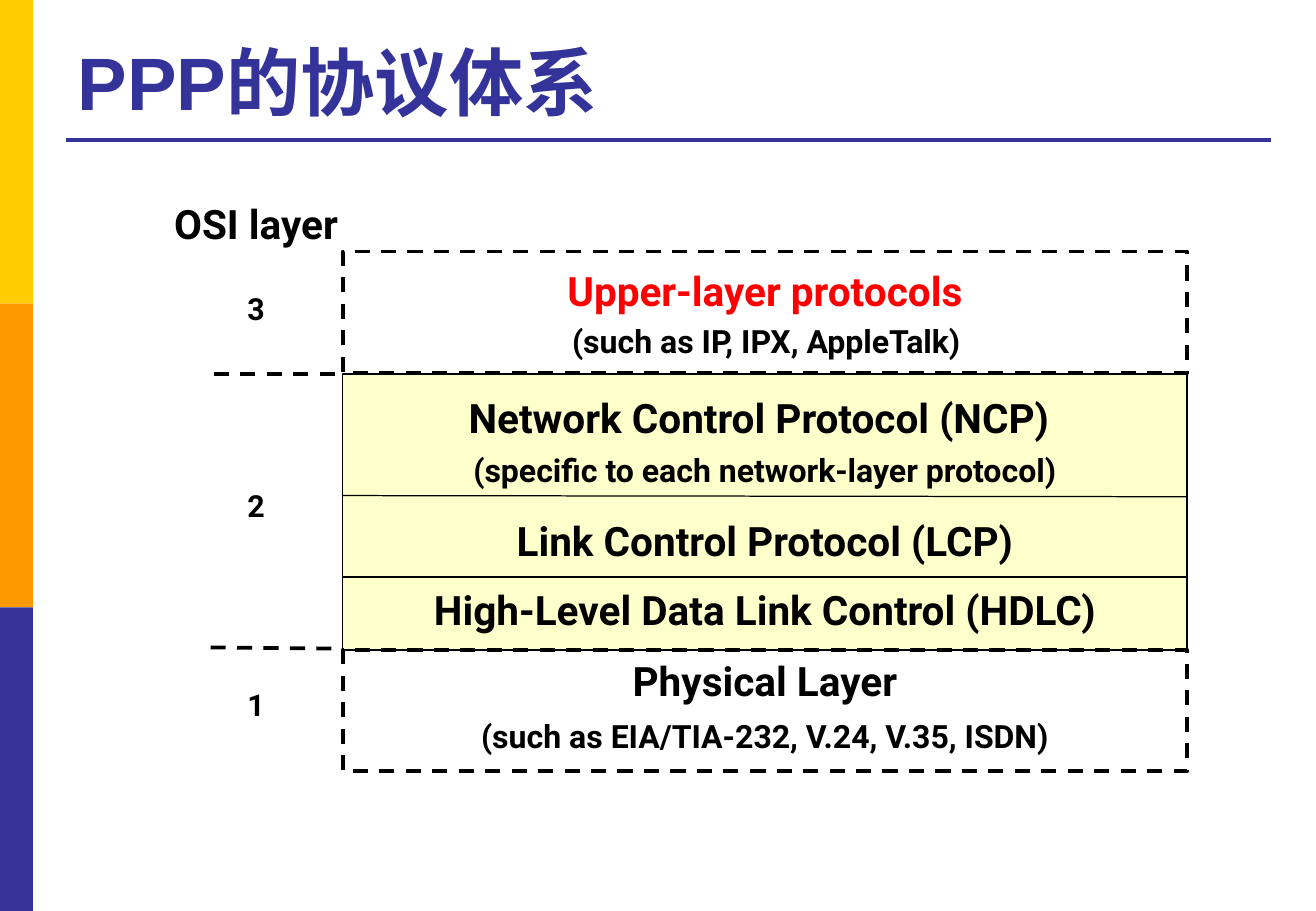
from lxml import etree
from pptx import Presentation
from pptx import util as u
from pptx.dml.color import RGBColor
from pptx.enum import dml, shapes, text
from pptx.oxml.ns import qn

COLORS = {
    "yellow": "FFCC00",
    "orange": "FF9900",
    "indigo": "333399",
    "cream": "FFFFCC",
    "black": "000000",
    "red": "FF0000",
}


class ProtocolSlide:
    columns = rows = 100
    body_font = "Roboto"
    line_share = 0.27

    def __init__(self, deck):
        self.slide = deck.slides.add_slide(deck.slide_layouts[6])
        self.column = deck.slide_width / self.columns
        self.row = deck.slide_height / self.rows

    def place(self, x, y):
        return u.Emu(round(x * self.column)), u.Emu(round(y * self.row))

    def stroke(self, line, color, width, dashed):
        line.color.rgb = RGBColor.from_string(COLORS[color])
        line.width = u.Pt(width)
        if dashed:
            line.dash_style = dml.MSO_LINE.DASH

    def box(self, x, y, w, h, fill=None, border=None, width=1, dashed=False):
        panel = self.slide.shapes.add_shape(
            shapes.MSO_SHAPE.RECTANGLE, *self.place(x, y), *self.place(w, h))
        panel.shadow.inherit = False
        if fill:
            panel.fill.solid()
            panel.fill.fore_color.rgb = RGBColor.from_string(COLORS[fill])
        else:
            panel.fill.background()
        if border:
            self.stroke(panel.line, border, width, dashed)
        else:
            panel.line.fill.background()

    def rule(self, x1, y1, x2, y2, color="black", width=0.75, dashed=False):
        rule = self.slide.shapes.add_connector(
            shapes.MSO_CONNECTOR.STRAIGHT, *self.place(x1, y1), *self.place(x2, y2))
        self.stroke(rule.line, color, width, dashed)
        etree.SubElement(rule._element.spPr, qn("a:effectLst"))

    def label(self, words, x, y, w, h=None, size=24, color="black", font=None,
              align="CENTER", anchor="TOP", wrap=False):
        h = h or size * self.line_share
        frame = self.slide.shapes.add_textbox(
            *self.place(x, y), *self.place(w, h)).text_frame
        frame.word_wrap = wrap
        frame.vertical_anchor = text.MSO_ANCHOR[anchor]
        paragraph = frame.paragraphs[0]
        paragraph.alignment = text.PP_ALIGN[align]
        run = paragraph.add_run()
        run.text = words
        run.font.name = font or self.body_font
        run.font.size = u.Pt(size)
        run.font.bold = True
        run.font.color.rgb = RGBColor.from_string(COLORS[color])


def main():
    deck = Presentation()
    deck.slide_width, deck.slide_height = u.Inches(10.83), u.Inches(7.5)
    page = ProtocolSlide(deck)

    band = page.rows / 3
    for index, color in enumerate(("yellow", "orange", "indigo")):
        page.box(0, index * band, 2.5, band, fill=color)
    page.rule(5, 15.33, 96.6, 15.33, color="indigo", width=2.25)
    page.label("PPP的协议体系", 5, 2.8, 91.5, 11.6, size=44, color="indigo",
               font="Arial", align="LEFT", anchor="BOTTOM", wrap=True)

    left, stack_width = 26.04, 64.17
    right = left + stack_width
    upper, link, physical, outer = 27.6, 41.07, 71.33, 13.33
    page.box(left, link, stack_width, physical - link, fill="cream", border="black")

    protocols = [
        ("Upper-layer protocols", 28.53, 24, "red", 0),
        ("(such as IP, IPX, AppleTalk)", 34.67, 19, "black", 0.1),
        ("Network Control Protocol (NCP)", 42.53, 24, "black", -0.45),
        ("(specific to each network-layer protocol)", 48.8, 19, "black", 0),
        ("Link Control Protocol (LCP)", 56, 24, "black", 0),
        ("High-Level Data Link Control (HDLC)", 63.6, 24, "black", 0),
        ("Physical Layer", 71.33, 24, "black", 0),
        ("(such as EIA/TIA-232, V.24, V.35, ISDN)", 78, 19, "black", 0),
    ]
    for words, top, size, color, shift in protocols:
        page.label(words, left + shift, top, stack_width, size=size, color=color)

    layers = [("OSI layer", 21.2, 24), ("3", 31.2, 18), ("2", 52.8, 18), ("1", 74.67, 18)]
    for words, top, size in layers:
        page.label(words, 11.85, top, 15.2, size=size)

    for start, end in ((54.4, 54.53), (63.33, 63.33)):
        page.rule(left, start, right - 0.1, end)
    for tick_left, start, end in ((16.25, link, link), (16, 71.07, 71.2)):
        page.rule(tick_left, start, left - 0.2, end, width=2.25, dashed=True)
    for top in (physical, upper):
        page.box(left, top, stack_width, outer, border="black", width=2.25, dashed=True)

    deck.save("out.pptx")


if __name__ == "__main__":
    main()
